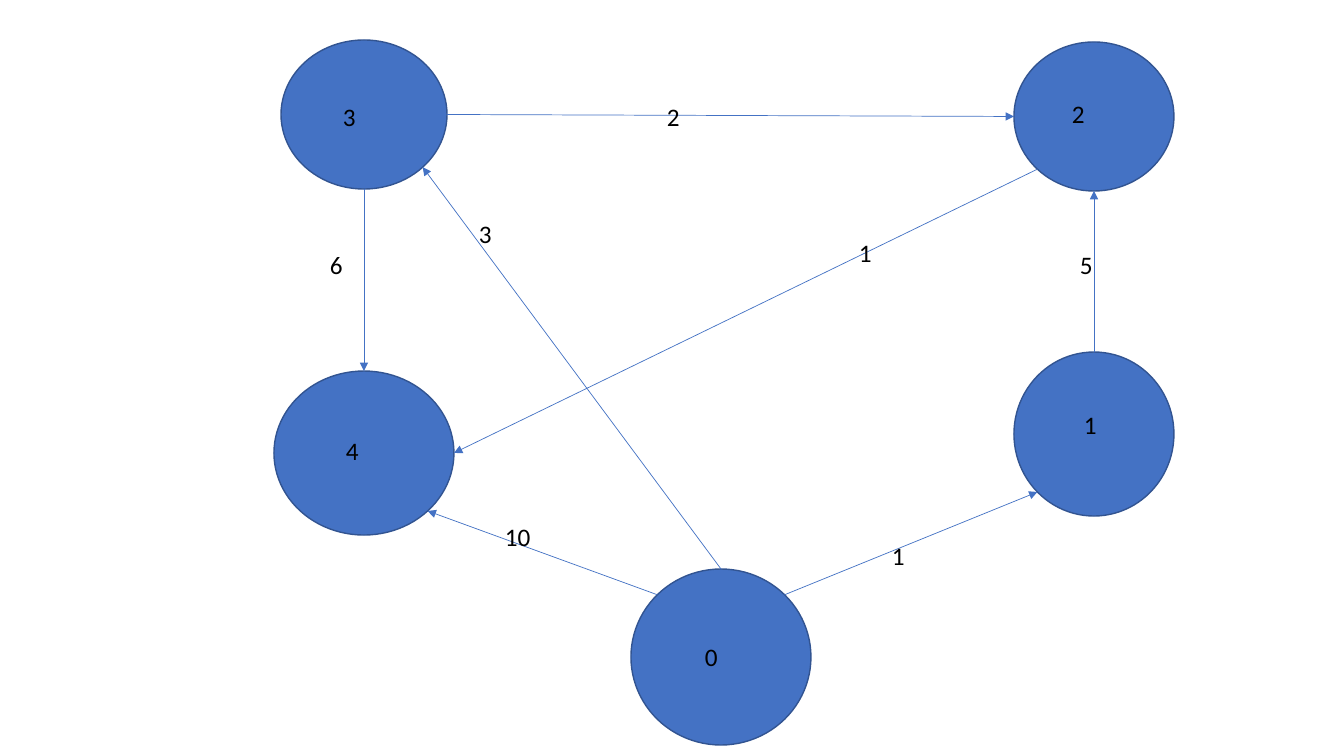
from dataclasses import dataclass
from math import cos, radians, sin

from lxml import etree
from pptx import Presentation
from pptx.dml.color import RGBColor
from pptx.enum import shapes, text
from pptx.oxml import ns
from pptx.util import Emu, Pt

SCALE = 914400 / 100.8  # EMU per pixel


def px(n):
    return Emu(round(n * SCALE))


@dataclass
class Theme:
    fill: str = "4472C4"
    rim: str = "325491"
    ink: str = "000000"
    font: str = "Calibri"
    size: float = 18
    edge: float = 0.5
    border: float = 1


def write(frame, words, font, size, color):
    run = frame.paragraphs[0].add_run()
    run.text = words
    run.font.name = font
    run.font.size = Pt(size)
    run.font.color.rgb = RGBColor.from_string(color)


def add(parent, tag, **attrs):
    return etree.SubElement(parent, ns.qn(tag), attrs)


class Graph:
    def __init__(self, slide, theme):
        self.slide, self.theme = slide, theme
        self.nodes = {}

    def node(self, name, x, y, w, h):
        oval = self.slide.shapes.add_shape(
            shapes.MSO_SHAPE.OVAL, px(x), px(y), px(w), px(h))
        oval.shadow.inherit = False
        oval.fill.solid()
        oval.fill.fore_color.rgb = RGBColor.from_string(self.theme.fill)
        oval.line.color.rgb = RGBColor.from_string(self.theme.rim)
        oval.line.width = Pt(self.theme.border)
        self.nodes[name] = oval

    def label(self, words, x, y, w):
        box = self.slide.shapes.add_textbox(px(x), px(y), px(w), px(40))
        frame = box.text_frame
        frame.word_wrap = True
        frame.auto_size = text.MSO_AUTO_SIZE.SHAPE_TO_FIT_TEXT
        write(frame, words, font=self.theme.font, size=self.theme.size,
              color=self.theme.ink)

    def site(self, name, i):
        """Point i of an oval's eight, counted anticlockwise from the top."""
        oval, turn = self.nodes[name], radians(90 + 45 * i)
        return (Emu(round(oval.left + oval.width * (1 + cos(turn)) / 2)),
                Emu(round(oval.top + oval.height * (1 - sin(turn)) / 2)))

    def edge(self, start, out, end, into):
        line = self.slide.shapes.add_connector(
            shapes.MSO_CONNECTOR.STRAIGHT,
            *self.site(start, out), *self.site(end, into))
        line.line.color.rgb = RGBColor.from_string(self.theme.fill)
        line.line.width = Pt(self.theme.edge)
        # Arrowhead, no shadow, ends glued to the nodes
        props = line._element.spPr
        add(props.find(ns.qn("a:ln")), "a:tailEnd", type="triangle")
        add(props, "a:effectLst")
        glue = line._element.find(".//" + ns.qn("p:cNvCxnSpPr"))
        for tag, name, i in (("a:stCxn", start, out), ("a:endCxn", end, into)):
            add(glue, tag, id=str(self.nodes[name].shape_id), idx=str(i))


deck = Presentation()
deck.slide_width, deck.slide_height = px(1344), px(756)
graph = Graph(deck.slides.add_slide(deck.slide_layouts[6]), Theme())

# Nodes: name, left, top, width, height
for item in (("3", 281, 40, 166, 149), ("2", 1014, 42, 160, 149),
             ("4", 274, 371, 180, 164), ("1", 1014, 352, 160, 164),
             ("0", 631, 569, 180, 176)):
    graph.node(*item)

# Node names: text, left, top, width
for item in (("0", 695, 636, 163), ("1", 1074, 404, 114), ("2", 1062, 93, 88),
             ("3", 333, 96, 109), ("4", 336, 430, 109)):
    graph.label(*item)

# Edges: start node, its site, end node, its site
for item in (("0", 7, "1", 3), ("0", 1, "4", 5), ("1", 0, "2", 4),
             ("3", 6, "2", 2), ("3", 4, "4", 0), ("2", 3, "4", 6),
             ("0", 0, "3", 5)):
    graph.edge(*item)

# Edge weights: text, left, top, width
for item in (("3", 469, 213, 55), ("1", 882, 535, 57), ("10", 495, 516, 73),
             ("1", 849, 232, 64), ("5", 1070, 244, 45), ("2", 657, 96, 77),
             ("6", 320, 244, 73)):
    graph.label(*item)

deck.save("out.pptx")
